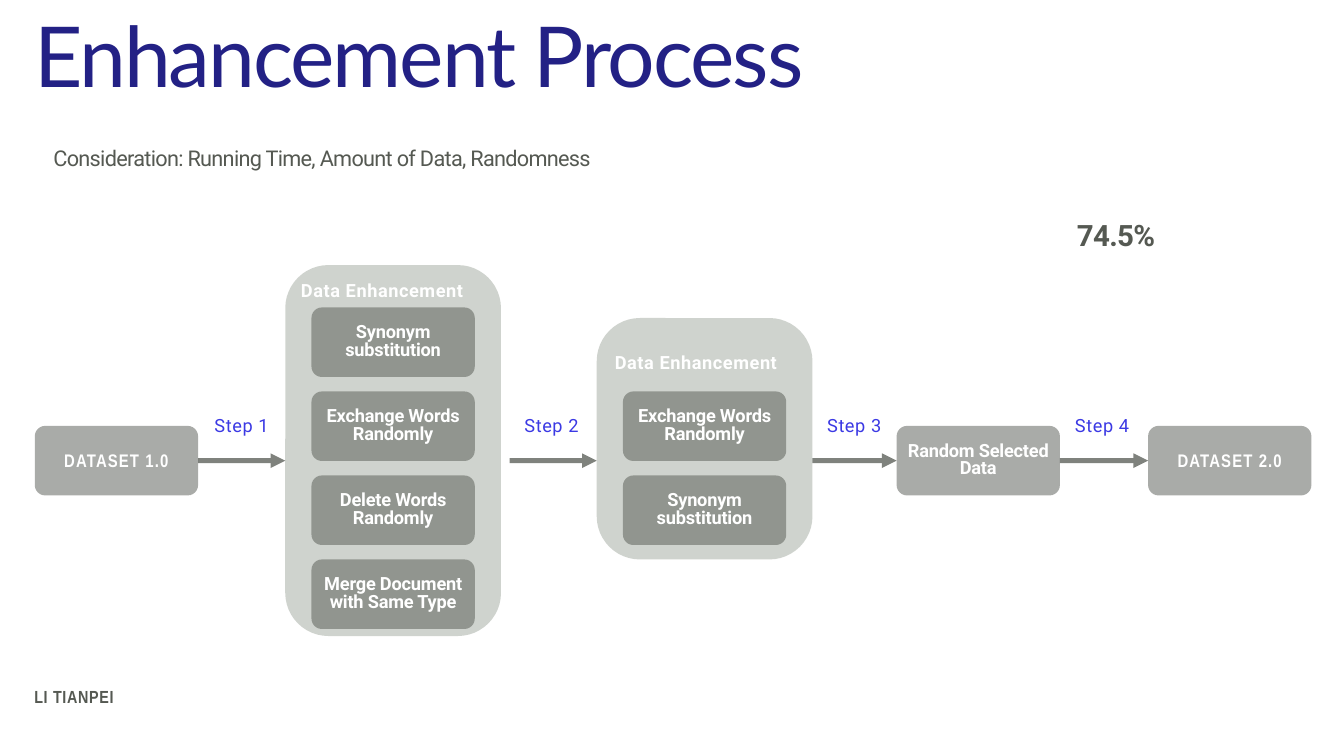
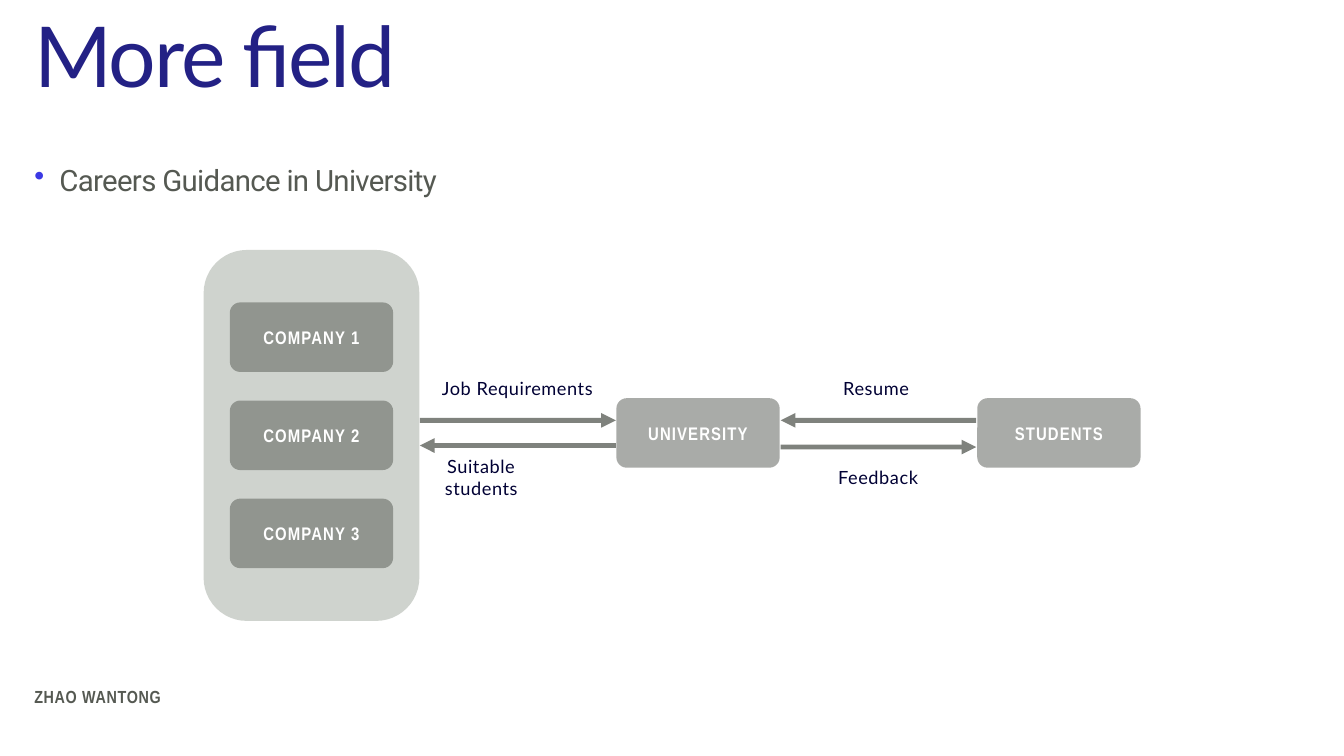
"""Build two flow slides on a grid of 80 columns by 45 rows."""
from typing import NamedTuple

from lxml import etree
from pptx import Presentation
from pptx.dml.color import RGBColor
from pptx.enum.shapes import MSO_CONNECTOR, MSO_SHAPE
from pptx.enum.text import MSO_ANCHOR, PP_ALIGN
from pptx.oxml.ns import qn
from pptx.shapes.autoshape import Shape
from pptx.slide import Slide
from pptx.text.text import TextFrame
from pptx.util import Inches, Length, Pt

WIDE, HIGH = Inches(26.67), Inches(15)
COLS, ROWS = 80, 45
INSET = Inches(0.06)

NAVY = RGBColor(0x23, 0x21, 0x85)
BLUE = RGBColor(0x3B, 0x39, 0xE4)
INK = RGBColor(0x00, 0x00, 0x34)
GREY = RGBColor(0x55, 0x59, 0x52)
SAGE = RGBColor(0xA1, 0xA9, 0x9E)
WHITE = RGBColor(0xFF, 0xFF, 0xFF)

ROUND = MSO_SHAPE.ROUNDED_RECTANGLE
LINE = MSO_CONNECTOR.STRAIGHT
LEFT, MID = PP_ALIGN.LEFT, PP_ALIGN.CENTER
TOP, MIDDLE = MSO_ANCHOR.TOP, MSO_ANCHOR.MIDDLE
WEST, EAST = 1, 3

BOX_W, BOX_H = 9.72, 4.14
PANEL_W = 12.84
EDGE, SPAN = 1.86, 76.26
FLOW = 25.35
AXIS = FLOW + BOX_H / 2


class Style(NamedTuple):
    """Look of one kind of text."""
    face: str
    size: float
    color: RGBColor
    bold: bool = False
    gap: float = 0
    line: float = 1


class Area(NamedTuple):
    """Rectangle in columns and rows."""
    x: float
    y: float
    w: float
    h: float


class Panel(NamedTuple):
    """Rounded group holding a stack of boxes."""
    x: float
    y: float
    h: float
    first: float
    pitch: float
    items: tuple[str, ...]


class Label(NamedTuple):
    """Text centred on a point."""
    text: str
    x: float
    y: float
    w: float


class Arrow(NamedTuple):
    """Level arrow, with the boxes it may join."""
    start: float
    end: float
    y: float
    tail: Shape | None = None
    head: Shape | None = None


TITLE = Style("Lato", 120, NAVY, gap=-3, line=0.6)
FOOTER = Style("Arial Narrow", 25, GREY, True, 1)
NODE = Style("Arial Narrow", 26, WHITE, True, 1.6)
TASK = Style("Roboto", 26, WHITE, True, -0.3, 0.8)
HEADING = Style("Roboto", 26, WHITE, True, 0.8)
STEP = Style("Roboto", 26, BLUE, gap=0.8)
NOTE = Style("Lato", 26, INK, gap=0.8)
INTRO = Style("Roboto", 31, GREY, gap=-1)
SCORE = Style("Roboto", 42, GREY, True, -1)
POINT = Style("Roboto", 42, GREY, gap=-1, line=0.8)


def col(n: float) -> Length:
    """Turn columns into a length."""
    return Length(round(WIDE * n / COLS))


def row(n: float) -> Length:
    """Turn rows into a length."""
    return Length(round(HIGH * n / ROWS))


def place(area: Area) -> tuple[Length, Length, Length, Length]:
    """Turn an area into slide lengths."""
    return col(area.x), row(area.y), col(area.w), row(area.h)


def fade(node: etree._Element, share: int) -> None:
    """Set the opacity of the colour inside a node."""
    color = next(node.iter(qn("a:srgbClr")))
    etree.SubElement(color, qn("a:alpha")).set("val", str(share * 1000))


def write(frame: TextFrame, text: str, style: Style, align: PP_ALIGN, anchor: MSO_ANCHOR) -> None:
    """Fill a frame with one styled paragraph."""
    frame.word_wrap = True
    frame.vertical_anchor = anchor
    frame.margin_left = frame.margin_right = INSET
    frame.margin_top = frame.margin_bottom = INSET
    para = frame.paragraphs[0]
    para.text = text
    para.alignment = align
    para.line_spacing = style.line
    font = para.font
    font.name, font.size, font.bold = style.face, Pt(style.size), style.bold
    font.color.rgb = style.color
    para._p.pPr.find(qn("a:defRPr")).set("spc", str(round(style.gap * 100)))


def add_text(slide: Slide, area: Area, text: str, style: Style,
             align: PP_ALIGN = LEFT, anchor: MSO_ANCHOR = TOP) -> Shape:
    """Add a text box."""
    box = slide.shapes.add_textbox(*place(area))
    write(box.text_frame, text, style, align, anchor)
    return box


def add_label(slide: Slide, label: Label, style: Style) -> None:
    """Add a label around its centre."""
    high = 1.74
    area = Area(label.x - label.w / 2, label.y - high / 2, label.w, high)
    add_text(slide, area, label.text, style, MID, MIDDLE)


def add_round(slide: Slide, area: Area, bend: float, color: RGBColor) -> Shape:
    """Add a half-clear rounded rectangle."""
    shape = slide.shapes.add_shape(ROUND, *place(area))
    shape.adjustments[0] = bend
    shape.shadow.inherit = False
    shape.fill.solid()
    shape.fill.fore_color.rgb = color
    fade(shape._element.spPr, 50)
    shape.line.fill.background()
    return shape


def add_box(slide: Slide, x: float, y: float, text: str, style: Style) -> Shape:
    """Add a box of the common size with its text."""
    box = add_round(slide, Area(x, y, BOX_W, BOX_H), 0.15, GREY)
    write(box.text_frame, text, style, MID, MIDDLE)
    return box


def add_panel(slide: Slide, panel: Panel, style: Style) -> None:
    """Add a panel and its stack of boxes."""
    add_round(slide, Area(panel.x, panel.y, PANEL_W, panel.h), 0.2, SAGE)
    x = panel.x + (PANEL_W - BOX_W) / 2
    for i, text in enumerate(panel.items):
        add_box(slide, x, panel.first + i * panel.pitch, text, style)


def add_arrow(slide: Slide, arrow: Arrow) -> None:
    """Add an arrow and join it to its boxes."""
    y = row(arrow.y)
    link = slide.shapes.add_connector(LINE, col(arrow.start), y, col(arrow.end), y)
    if arrow.tail:
        link.begin_connect(arrow.tail, EAST)
    if arrow.head:
        link.end_connect(arrow.head, WEST)
    link.line.width = Pt(7)
    link.line.color.rgb = GREY
    props = link._element.spPr
    fade(props, 75)
    etree.SubElement(props.find(qn("a:ln")), qn("a:tailEnd")).set("type", "triangle")
    etree.SubElement(props, qn("a:effectLst"))


def add_bullet(box: Shape) -> None:
    """Give a text box a blue hanging bullet."""
    props = box.text_frame.paragraphs[0]._p.pPr
    props.set("marL", str(Inches(0.5)))
    props.set("indent", str(-Inches(0.5)))
    hue = etree.Element(qn("a:buClr"))
    etree.SubElement(hue, qn("a:srgbClr")).set("val", str(BLUE))
    dot = etree.Element(qn("a:buChar"))
    dot.set("char", "•")
    last = props.find(qn("a:defRPr"))
    last.addprevious(hue)
    last.addprevious(dot)


def add_page(deck: Presentation, title: str, author: str) -> Slide:
    """Add a slide with its title and footer."""
    slide = deck.slides.add_slide(deck.slide_layouts[6])
    add_text(slide, Area(EDGE, 2.13, SPAN, 6.39), title, TITLE)
    add_text(slide, Area(EDGE, 40.68, SPAN, 1.83), author, FOOTER)
    return slide


def draw_steps(deck: Presentation) -> None:
    """Draw the enhancement process."""
    slide = add_page(deck, "Enhancement Process", "LI TIANPEI")
    add_text(slide, Area(3, 8.4, 75, 2), "Consideration: Running Time, Amount of Data, Randomness",
             INTRO, anchor=MIDDLE)
    add_label(slide, Label("74.5%", 66.43, 14, 10.6), SCORE)
    swap, syn = "Exchange Words Randomly", "Synonym substitution"
    tasks = (syn, swap, "Delete Words Randomly", "Merge Document with Same Type")
    for panel in (Panel(16.98, 15.78, 22.08, 18.3, 5, tasks),
                  Panel(35.52, 18.93, 14.37, 23.3, 5, (swap, syn))):
        add_panel(slide, panel, TASK)
    for x, y in ((22.75, 17.28), (41.43, 21.57)):
        add_label(slide, Label("Data Enhancement", x, y, 11), HEADING)
    first = add_box(slide, 2.07, FLOW, "DATASET 1.0", NODE)
    pick = add_box(slide, 53.37, FLOW, "Random Selected Data", TASK)
    last = add_box(slide, 68.34, FLOW, "DATASET 2.0", NODE)
    for arrow in (Arrow(11.79, 16.98, AXIS, tail=first),
                  Arrow(30.33, 35.52, AXIS),
                  Arrow(48.36, 53.37, AXIS, head=pick),
                  Arrow(63.09, 68.34, AXIS, pick, last)):
        add_arrow(slide, arrow)
    for i, x in enumerate((14.38, 32.83, 50.85, 65.6), 1):
        add_label(slide, Label(f"Step {i}", x, 25.32, 4.5), STEP)


def draw_field(deck: Presentation) -> None:
    """Draw the careers guidance exchange."""
    slide = add_page(deck, "More field", "ZHAO WANTONG")
    add_bullet(add_text(slide, Area(EDGE, 9.87, SPAN, 2.97), "Careers Guidance in University", POINT))
    firms = tuple(f"COMPANY {i}" for i in range(1, 4))
    add_panel(slide, Panel(12.12, 14.88, 22.08, 18, 5.84, firms), NODE)
    for x, text in ((36.69, "UNIVERSITY"), (58.17, "STUDENTS")):
        add_box(slide, x, 23.7, text, NODE)
    for arrow in (Arrow(24.99, 36.66, 25.02), Arrow(36.66, 24.99, 26.52),
                  Arrow(46.47, 58.11, 26.61), Arrow(58.11, 46.47, 25.02)):
        add_arrow(slide, arrow)
    for label in (Label("Job Requirements", 30.8, 23.13, 10.5),
                  Label("Suitable students", 28.65, 28.4, 6),
                  Label("Resume", 52.15, 23.13, 6),
                  Label("Feedback", 52.27, 28.4, 6)):
        add_label(slide, label, NOTE)


def main() -> None:
    """Build and save the deck."""
    deck = Presentation()
    deck.slide_width, deck.slide_height = WIDE, HIGH
    draw_steps(deck)
    draw_field(deck)
    deck.save("out.pptx")


if __name__ == "__main__":
    main()
